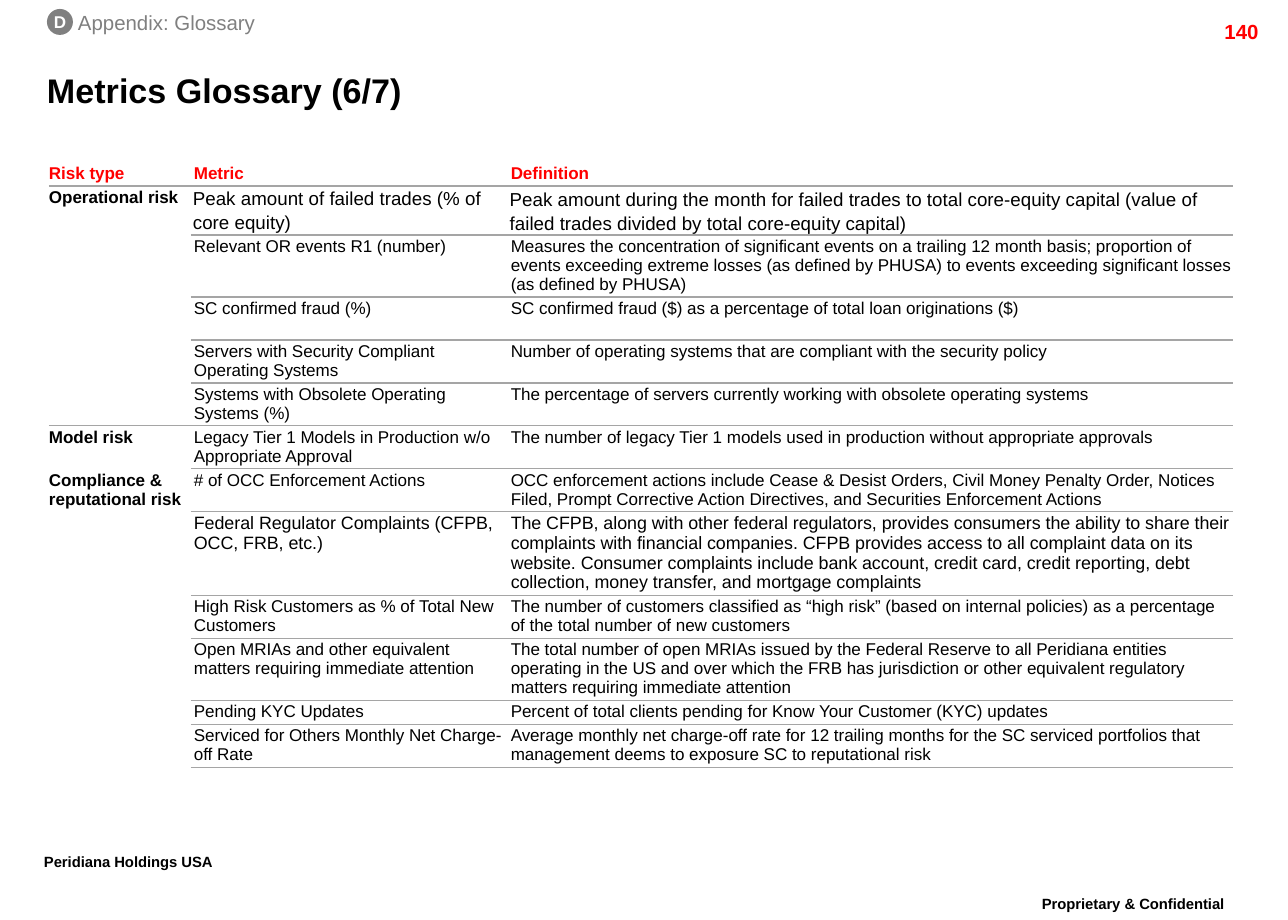
import pptx
import pptx.util
import pptx.dml.color
import pptx.enum.shapes
import pptx.enum.text
import pptx.oxml
import pptx.oxml.ns
from dataclasses import dataclass

# Content
TITLE = "Metrics Glossary (6/7)"
MARK, PART = "D", "Appendix: Glossary"
PAGE = "140"
OWNER, NOTICE = "Peridiana Holdings USA", "Proprietary & Confidential"
HEAD = ("Risk type", "Metric", "Definition")
RISKS = [
    ("Operational risk", [
        ("Peak amount of failed trades (% of core equity)",
         "Peak amount during the month for failed trades to total core-equity capital "
         "(value of failed trades divided by total core-equity capital)"),
        ("Relevant OR events R1 (number)",
         "Measures the concentration of significant events on a trailing 12 month basis; "
         "proportion of events exceeding extreme losses (as defined by PHUSA) to events "
         "exceeding significant losses (as defined by PHUSA)"),
        ("SC confirmed fraud (%)",
         "SC confirmed fraud ($) as a percentage of total loan originations ($)"),
        ("Servers with Security Compliant Operating Systems",
         "Number of operating systems that are compliant with the security policy"),
        ("Systems with Obsolete Operating Systems (%)",
         "The percentage of servers currently working with obsolete operating systems"),
    ]),
    ("Model risk", [
        ("Legacy Tier 1 Models in Production w/o Appropriate Approval",
         "The number of legacy Tier 1 models used in production without appropriate approvals"),
    ]),
    ("Compliance & reputational risk", [
        ("# of OCC Enforcement Actions",
         "OCC enforcement actions include Cease & Desist Orders, Civil Money Penalty Order, "
         "Notices Filed, Prompt Corrective Action Directives, and Securities Enforcement Actions"),
        ("Federal Regulator Complaints (CFPB, OCC, FRB, etc.)",
         "The CFPB, along with other federal regulators, provides consumers the ability to share "
         "their complaints with financial companies. CFPB provides access to all complaint data "
         "on its website. Consumer complaints include bank account, credit card, credit "
         "reporting, debt collection, money transfer, and mortgage complaints"),
        ("High Risk Customers as % of Total New Customers",
         "The number of customers classified as “high risk” (based on internal policies) as a "
         "percentage of the total number of new customers"),
        ("Open MRIAs and other equivalent matters requiring immediate attention",
         "The total number of open MRIAs issued by the Federal Reserve to all Peridiana entities "
         "operating in the US and over which the FRB has jurisdiction or other equivalent "
         "regulatory matters requiring immediate attention"),
        ("Pending KYC Updates",
         "Percent of total clients pending for Know Your Customer (KYC) updates"),
        ("Serviced for Others Monthly Net Charge-off Rate",
         "Average monthly net charge-off rate for 12 trailing months for the SC serviced "
         "portfolios that management deems to exposure SC to reputational risk"),
    ]),
]
COLS = (142, 317, 725)
ROWS = (24, 49, 62, 43, 43, 43, 43, 43, 84, 43, 62, 24, 43)
LEFT, TOP = 49, 162


@dataclass(frozen=True)
class Theme:
    font: str = "Arial"
    ink: str = "000000"
    red: str = "FF0000"
    gray: str = "808080"
    rule: str = "A5A5A5"
    white: str = "FFFFFF"
    title: float = 20
    foot: float = 15
    label: float = 12
    large: float = 11
    mid: float = 10.5
    body: float = 10


LOOK = Theme()
ALIGN = pptx.enum.text.PP_ALIGN
ANCHOR = pptx.enum.text.MSO_ANCHOR
SCALE = 7452  # EMU in one px


def px(*vals):
    return [val * SCALE for val in vals]


def rgb(code):
    return pptx.dml.color.RGBColor.from_string(code)


def write(frame, text, size=LOOK.body, color=LOOK.ink, bold=False,
          align=ALIGN.LEFT, space=None, raised=False):
    para = frame.paragraphs[0]
    para.alignment = align
    if space:
        para.line_spacing = space
    run = para.add_run()
    run.text = text
    font = run.font
    font.name, font.size, font.bold = LOOK.font, pptx.util.Pt(size), bold
    font.color.rgb = rgb(color)
    if raised:
        run._r.get_or_add_rPr().set("baseline", "30000")


def inset(item, left, top, right, bottom):
    item.margin_left, item.margin_top, item.margin_right, item.margin_bottom = px(
        left, top, right, bottom)


def label(slide, box, text, pad=None, **form):
    frame = slide.shapes.add_textbox(*px(*box)).text_frame
    frame.word_wrap = True
    if pad is not None:
        inset(frame, pad, pad, pad, pad)
    write(frame, text, **form)


def border(cell, side, shown=True):
    paint = (f'<a:solidFill><a:srgbClr val="{LOOK.rule}"/></a:solidFill>'
             if shown else "<a:noFill/>")
    line = pptx.oxml.parse_xml(
        f'<a:{side} {pptx.oxml.ns.nsdecls("a")} w="12700">{paint}</a:{side}>')
    cell._tc.get_or_add_tcPr().insert(0, line)


def glossary(slide):
    box = px(LEFT, TOP, sum(COLS), sum(ROWS))
    table = slide.shapes.add_table(len(ROWS), len(COLS), *box).table
    table.first_row = table.horz_banding = False
    for col, wide in zip(table.columns, COLS):
        col.width = wide * SCALE
    for row, high in zip(table.rows, ROWS):
        row.height = high * SCALE

    # Plain cells, ruled below each metric
    style = table._tbl.tblPr.find(pptx.oxml.ns.qn("a:tableStyleId"))
    style.text = "{2D5ABB26-0587-4C30-8999-92F81FD0307C}"
    for r in range(len(ROWS)):
        for c in range(len(COLS)):
            cell = table.cell(r, c)
            cell.fill.background()
            inset(cell, 3 if c else 0, 2, 0, 2)
            border(cell, "lnB", shown=c > 0 or r == 0)

    # Heading row
    plain = dict(space=pptx.util.Pt(11.15))
    for c, text in enumerate(HEAD):
        cell = table.cell(0, c)
        cell.vertical_anchor = ANCHOR.MIDDLE
        write(cell.text_frame, text, color=LOOK.red, bold=True, **plain)

    # Risk groups
    forms = {1: dict(size=LOOK.large, space=pptx.util.Pt(14)),
             8: dict(size=LOOK.mid, space=pptx.util.Pt(11.6))}
    r = 1
    for risk, items in RISKS:
        first = table.cell(r, 0)
        if len(items) > 1:
            first.merge(table.cell(r + len(items) - 1, 0))
        if r > 1:
            border(first, "lnT", shown=len(items) == 1)
        write(first.text_frame, risk, bold=True, **plain)
        for item in items:
            for c, text in enumerate(item, 1):
                cell = table.cell(r, c)
                if r == 1:
                    inset(cell, 2, c - 1, 1, 0)
                write(cell.text_frame, text, **forms.get(r, plain))
            r += 1


def main():
    deck = pptx.Presentation()
    deck.slide_width = pptx.util.Inches(10.5)
    deck.slide_height = pptx.util.Inches(7.5)
    slide = deck.slides.add_slide(deck.slide_layouts[5])

    # Title
    title = slide.shapes.title
    title.left, title.top, title.width, title.height = px(47, 60, 1163, 59)
    frame = title.text_frame
    frame.vertical_anchor = ANCHOR.MIDDLE
    inset(frame, 0, 0, 0, 0)
    write(frame, TITLE, size=LOOK.title, bold=True)

    # Footers and page number
    foot = dict(size=LOOK.foot, bold=True, space=0.86, raised=True)
    label(slide, (1000, 890, 267, 43), NOTICE, align=ALIGN.CENTER, **foot)
    label(slide, (32, 848, 234, 43), OWNER, **foot)
    label(slide, (1148, 13, 123, 29), PAGE, size=LOOK.label, color=LOOK.red,
          bold=True, align=ALIGN.RIGHT)

    glossary(slide)

    # Section marker
    label(slide, (78, 10, 190, 25), PART, pad=0, size=LOOK.label, color=LOOK.gray)
    disc = slide.shapes.add_shape(pptx.enum.shapes.MSO_SHAPE.OVAL, *px(47, 9, 26, 26))
    disc.shadow.inherit = False
    disc.fill.solid()
    disc.fill.fore_color.rgb = rgb(LOOK.gray)
    disc.line.fill.background()
    frame = disc.text_frame
    frame.word_wrap = False
    frame.vertical_anchor = ANCHOR.MIDDLE
    inset(frame, 0, 0, 0, 0)
    write(frame, MARK, color=LOOK.white, bold=True, align=ALIGN.CENTER)

    deck.save("out.pptx")


if __name__ == "__main__":
    main()
